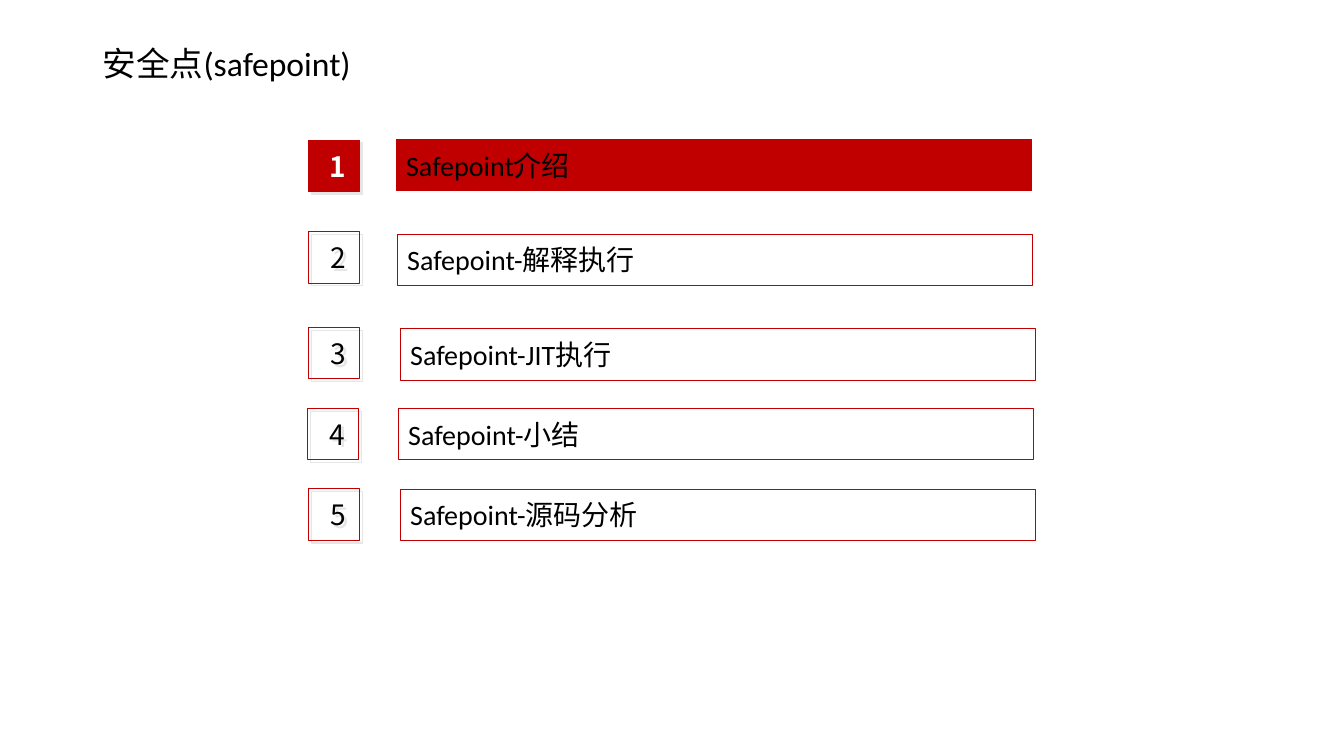
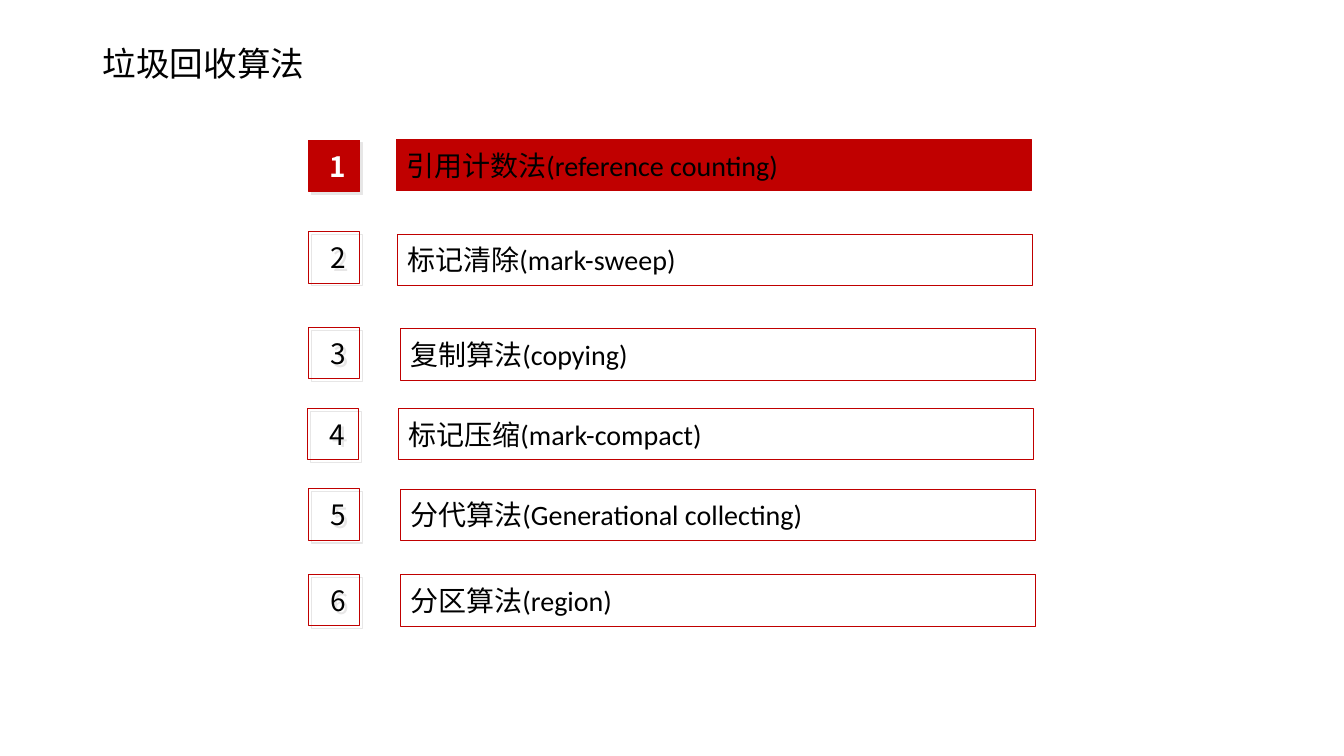
from lxml import etree
from pptx import Presentation
from pptx.dml.color import RGBColor
from pptx.enum import shapes, text
from pptx.oxml.ns import qn
from pptx.util import Emu, Inches, Pt

RED = RGBColor(0xC0, 0x00, 0x00)
BLACK = RGBColor(0x00, 0x00, 0x00)
WHITE = RGBColor(0xFF, 0xFF, 0xFF)
SHADOW = RGBColor(0xE7, 0xE6, 0xE6)
LATIN_FONT = "Calibri"
CJK_FONT = "Noto Sans CJK SC"

# Content: title, then agenda entries; the first entry is the current one
AGENDAS = [
    ("安全点(safepoint)", [
        "Safepoint介绍",
        "Safepoint-解释执行",
        "Safepoint-JIT执行",
        "Safepoint-小结",
        "Safepoint-源码分析",
    ]),
    ("垃圾回收算法", [
        "引用计数法(reference counting)",
        "标记清除(mark-sweep)",
        "复制算法(copying)",
        "标记压缩(mark-compact)",
        "分代算法(Generational collecting)",
        "分区算法(region)",
    ]),
]

# Rows: number left and top, bar left and top, in inches
ROWS = [
    (3.06, 1.39, 3.93, 1.38),
    (3.06, 2.30, 3.94, 2.32),
    (3.06, 3.25, 3.97, 3.26),
    (3.05, 4.05, 3.95, 4.05),
    (3.06, 4.85, 3.97, 4.85),
    (3.06, 5.70, 3.97, 5.70),
]
ROW_HEIGHT = 0.51
BAR_WIDTH = 6.3


def add_run(paragraph, words, size, color, font=LATIN_FONT, bold=False):
    run = paragraph.add_run()
    run.text = words
    run.font.size = Pt(size)
    run.font.name = font
    run.font.bold = bold
    run.font.color.rgb = color
    east_asian = etree.SubElement(run.font._element, qn("a:ea"))
    east_asian.set("typeface", CJK_FONT)


def add_shadow(shape):
    effects = shape._element.spPr.find(qn("a:effectLst"))
    shadow = etree.SubElement(effects, qn("a:outerShdw"), dist=str(int(Pt(2.8))),
                              dir=str(45 * 60000), algn="ctr", rotWithShape="0")
    etree.SubElement(shadow, qn("a:srgbClr"), val=str(SHADOW))


def add_box(slide, left, top, width, fill, line_width):
    shape = slide.shapes.add_shape(
        shapes.MSO_SHAPE.RECTANGLE,
        Inches(left), Inches(top), Inches(width), Inches(ROW_HEIGHT))
    shape.shadow.inherit = False
    if fill is None:
        shape.fill.background()
    else:
        shape.fill.solid()
        shape.fill.fore_color.rgb = fill
    shape.line.color.rgb = RED
    shape.line.width = Pt(line_width)
    shape.text_frame.word_wrap = False
    shape.text_frame.vertical_anchor = text.MSO_ANCHOR.MIDDLE
    return shape


def add_number(slide, left, top, number, current):
    shape = add_box(slide, left, top, ROW_HEIGHT, RED if current else None, 0.75)
    add_shadow(shape)
    frame = shape.text_frame
    frame.margin_left = Inches(0.13)
    frame.margin_right = frame.margin_top = frame.margin_bottom = Inches(0.05)
    paragraph = frame.paragraphs[0]
    paragraph.alignment = text.PP_ALIGN.CENTER
    add_run(paragraph, str(number), 20, WHITE if current else BLACK, CJK_FONT, current)


def add_bar(slide, left, top, label, current):
    shape = add_box(slide, left, top, BAR_WIDTH, RED if current else WHITE, 0.5)
    paragraph = shape.text_frame.paragraphs[0]
    paragraph.alignment = text.PP_ALIGN.LEFT
    add_run(paragraph, label, 20, BLACK)


def add_title(slide, title):
    box = slide.shapes.add_textbox(Inches(0.92), Inches(0.4), Inches(4.31), Inches(0.5))
    box.text_frame.word_wrap = True
    box.text_frame.vertical_anchor = text.MSO_ANCHOR.MIDDLE
    paragraph = box.text_frame.paragraphs[0]
    paragraph.line_spacing = 0.9
    add_run(paragraph, title, 24, BLACK)


def main():
    presentation = Presentation()
    presentation.slide_width = Inches(13.33)
    presentation.slide_height = Inches(7.5)
    for title, labels in AGENDAS:
        slide = presentation.slides.add_slide(presentation.slide_layouts[6])
        add_title(slide, title)
        for number, (label, row) in enumerate(zip(labels, ROWS), start=1):
            number_left, number_top, bar_left, bar_top = row
            current = number == 1
            add_number(slide, number_left, number_top, number, current)
            add_bar(slide, bar_left, bar_top, label, current)
    presentation.save("out.pptx")


if __name__ == "__main__":
    main()
